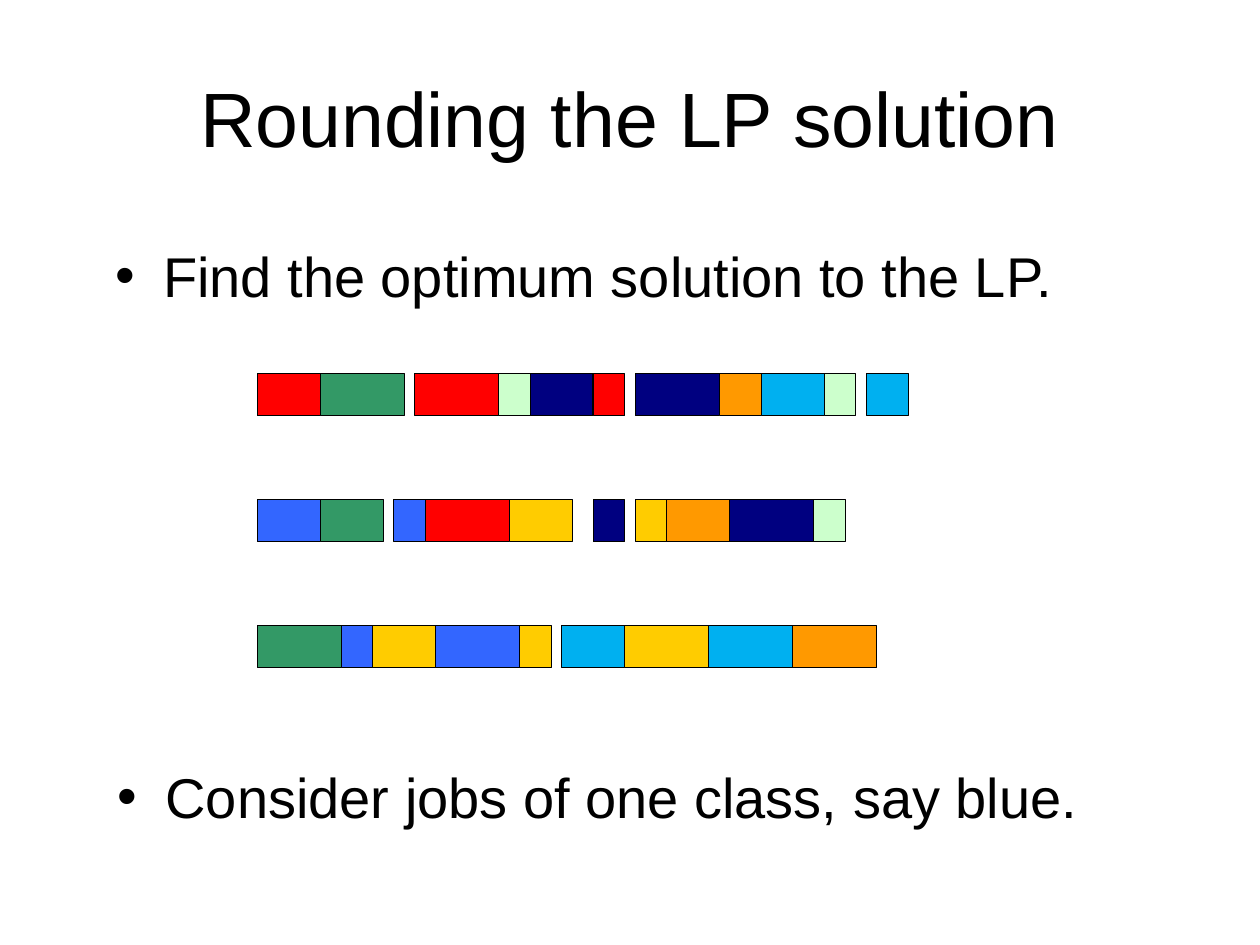
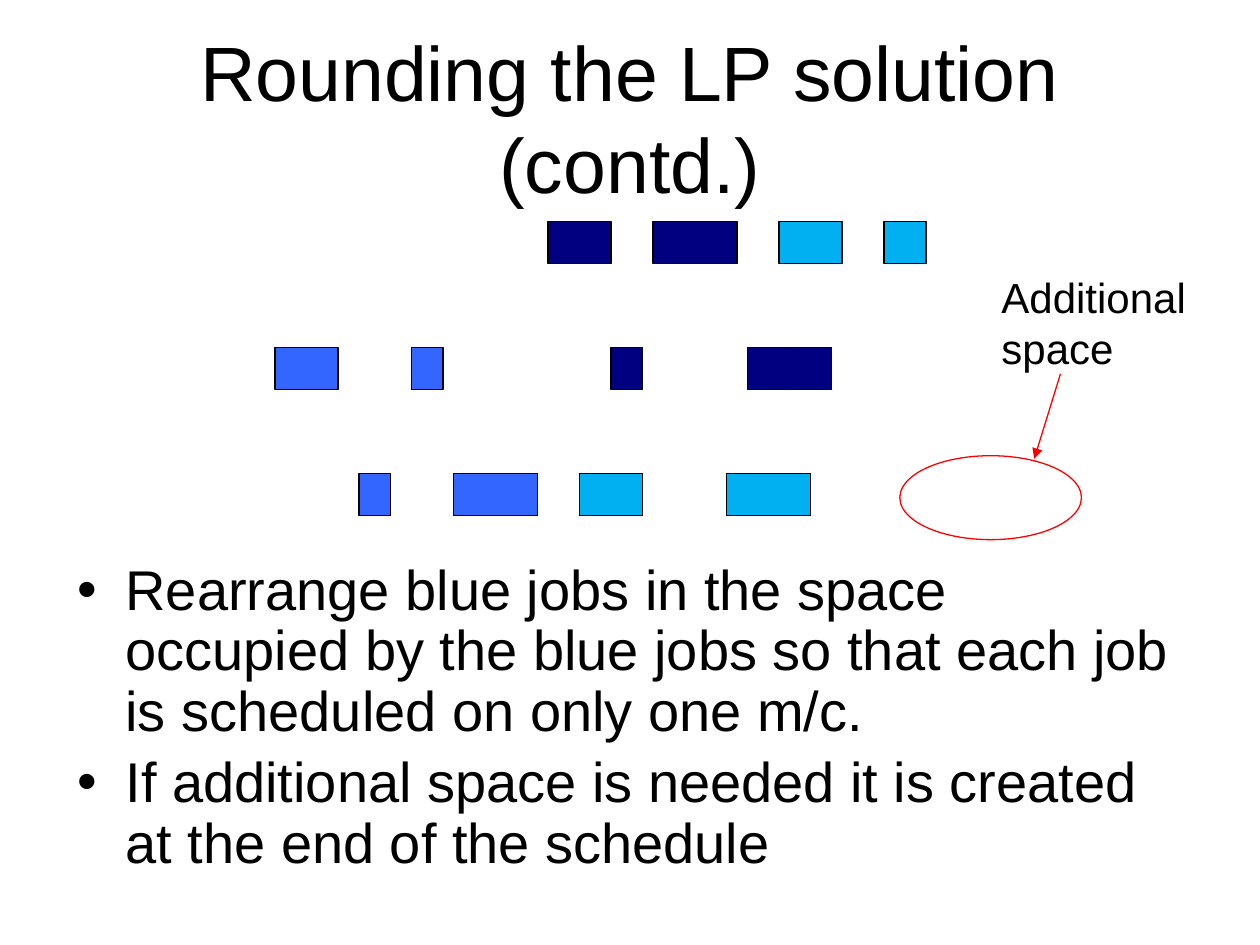
from dataclasses import dataclass

from lxml import etree
from pptx import Presentation
from pptx import util as u
from pptx.dml.color import RGBColor
from pptx.enum import shapes, text
from pptx.oxml.ns import qn


@dataclass(frozen=True)
class Theme:
    font: str = "Arial"
    title_size: int = 44
    body_size: int = 32
    note_size: int = 24
    ink: str = "000000"
    red: str = "FF0000"
    green: str = "339966"
    mint: str = "CCFFCC"
    navy: str = "000080"
    blue: str = "3366FF"
    sky: str = "00B0F0"
    orange: str = "FF9900"
    yellow: str = "FFCC00"
    line_width: float = 0.75


THEME = Theme()

# The slide is a grid of 120 columns by 90 rows of square cells
WIDTH, HEIGHT = u.Inches(10), u.Inches(7.5)
CELL = WIDTH / 120
TITLE_BOX = (6, 3.6, 108, 15)
JOB_HEIGHT = 4
MACHINE_PITCH = 12

# Each machine is a run of (job class, length in columns); None is idle time
LP_SCHEDULE = [
    [("red", 6), ("green", 8), (None, 1), ("red", 8), ("mint", 3), ("navy", 6),
     ("red", 3), (None, 1), ("navy", 8), ("orange", 4), ("sky", 6),
     ("mint", 3), (None, 1), ("sky", 4)],
    [("blue", 6), ("green", 6), (None, 1), ("blue", 3), ("red", 8),
     ("yellow", 6), (None, 2), ("navy", 3), (None, 1), ("yellow", 3),
     ("orange", 6), ("navy", 8), ("mint", 3)],
    [("green", 8), ("blue", 3), ("yellow", 6), ("blue", 8), ("yellow", 3),
     (None, 1), ("sky", 6), ("yellow", 8), ("sky", 8), ("orange", 8)],
]
BLUE_SCHEDULE = [
    [(None, 26), ("navy", 6), (None, 4), ("navy", 8), (None, 4), ("sky", 6),
     (None, 4), ("sky", 4)],
    [("blue", 6), (None, 7), ("blue", 3), (None, 16), ("navy", 3), (None, 10),
     ("navy", 4), ("navy", 4)],
    [(None, 8), ("blue", 3), (None, 6), ("blue", 8), (None, 4), ("sky", 6),
     (None, 8), ("sky", 8)],
]


def cells(*counts):
    return [round(count * CELL) for count in counts]


def move(shape, box):
    shape.left, shape.top, shape.width, shape.height = cells(*box)


def add_bullet(paragraph):
    properties = paragraph._p.get_or_add_pPr()
    properties.set("marL", str(u.Inches(0.38)))
    properties.set("indent", str(-u.Inches(0.38)))
    etree.SubElement(properties, qn("a:buFont")).set("typeface", THEME.font)
    etree.SubElement(properties, qn("a:buChar")).set("char", "•")


def write(shape, lines, size, align=text.PP_ALIGN.LEFT,
          anchor=text.MSO_ANCHOR.TOP, bullets=False, spacing=1.0, gap=0):
    frame = shape.text_frame
    frame.word_wrap = True
    frame.auto_size = text.MSO_AUTO_SIZE.NONE
    frame.vertical_anchor = anchor
    for index, line in enumerate(lines):
        paragraph = frame.add_paragraph() if index else frame.paragraphs[0]
        if bullets:
            add_bullet(paragraph)
        paragraph.alignment = align
        paragraph.line_spacing = spacing
        paragraph.space_before = u.Pt(gap if index else 0)
        run = paragraph.add_run()
        run.text = line
        run.font.name = THEME.font
        run.font.size = u.Pt(size)
        run.font.color.rgb = RGBColor.from_string(THEME.ink)


def write_list(shape, lines, spacing=1.0):
    write(shape, lines, THEME.body_size, bullets=True, spacing=spacing,
          gap=THEME.body_size * 0.2)


def add_slide(presentation, title, body_box):
    slide = presentation.slides.add_slide(presentation.slide_layouts[1])
    move(slide.shapes.title, TITLE_BOX)
    write(slide.shapes.title, [title], THEME.title_size,
          align=text.PP_ALIGN.CENTER, anchor=text.MSO_ANCHOR.MIDDLE)
    body = slide.placeholders[1]
    move(body, body_box)
    return slide, body


def set_line(shape, color):
    shape.line.color.rgb = RGBColor.from_string(color)
    shape.line.width = u.Pt(THEME.line_width)


def add_outline(slide, kind, box, line, fill=None):
    shape = slide.shapes.add_shape(kind, *cells(*box))
    shape.shadow.inherit = False
    if fill:
        shape.fill.solid()
        shape.fill.fore_color.rgb = RGBColor.from_string(fill)
    else:
        shape.fill.background()
    set_line(shape, line)


def add_schedule(slide, machines, left, top):
    for row, jobs in enumerate(machines):
        start = left
        for job_class, length in jobs:
            if job_class:
                box = (start, top + row * MACHINE_PITCH, length, JOB_HEIGHT)
                add_outline(slide, shapes.MSO_SHAPE.RECTANGLE, box, THEME.ink,
                            fill=getattr(THEME, job_class))
            start += length


def add_arrow(slide, start, end, color):
    arrow = slide.shapes.add_connector(shapes.MSO_CONNECTOR.STRAIGHT,
                                       *cells(*start, *end))
    set_line(arrow, color)
    etree.SubElement(arrow.line._get_or_add_ln(), qn("a:tailEnd")).set("type", "triangle")
    etree.SubElement(arrow._element.spPr, qn("a:effectLst"))


def add_text(slide, box):
    return slide.shapes.add_textbox(*cells(*box))


def build_lp_slide(presentation):
    slide, body = add_slide(presentation, "Rounding the LP solution", (10, 72, 102, 8.4))
    write_list(body, ["Consider jobs of one class, say blue."])
    add_schedule(slide, LP_SCHEDULE, left=24.5, top=35.6)
    write_list(add_text(slide, (9.8, 22.4, 102, 9)),
               ["Find the optimum solution to the LP."])


def build_blue_slide(presentation):
    slide, body = add_slide(presentation, "Rounding the LP solution (contd.)",
                            (6.2, 52.9, 108, 32))
    write_list(body, [
        "Rearrange blue jobs in the space occupied by the blue jobs so that "
        "each job is scheduled on only one m/c.",
        "If additional space is needed it is created at the end of the schedule",
    ], spacing=0.9)
    add_schedule(slide, BLUE_SCHEDULE, left=26.2, top=21.1)
    # Extra space at the end of the schedule
    add_outline(slide, shapes.MSO_SHAPE.OVAL, (85.7, 43.4, 17.3, 8), THEME.red)
    add_arrow(slide, (101, 35.6), (98.5, 43.7), THEME.red)
    write(add_text(slide, (94.2, 25.3, 21.1, 10.8)), ["Additional", "space"],
          THEME.note_size)


def main():
    presentation = Presentation()
    presentation.slide_width, presentation.slide_height = WIDTH, HEIGHT
    build_lp_slide(presentation)
    build_blue_slide(presentation)
    presentation.save("out.pptx")


if __name__ == "__main__":
    main()
